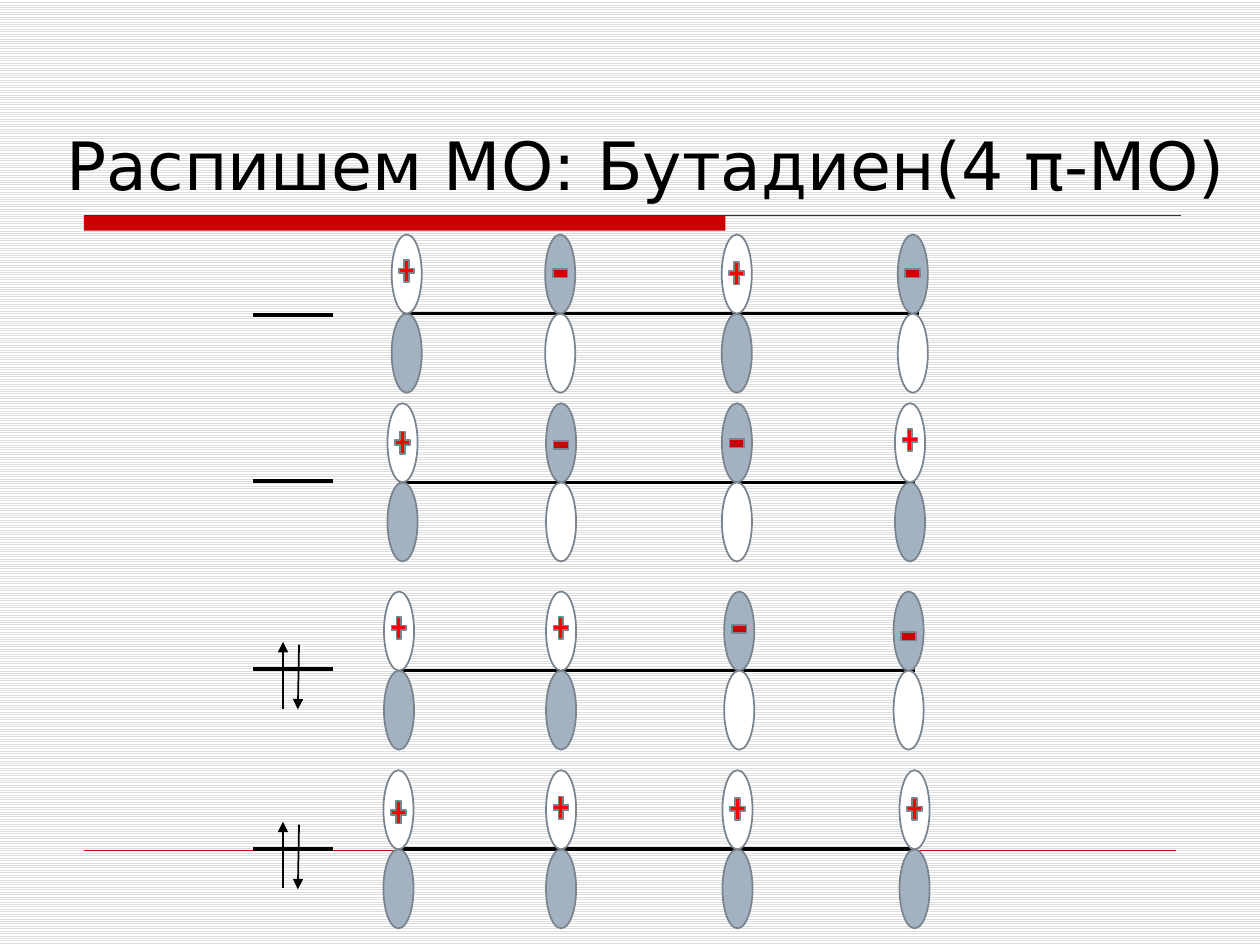
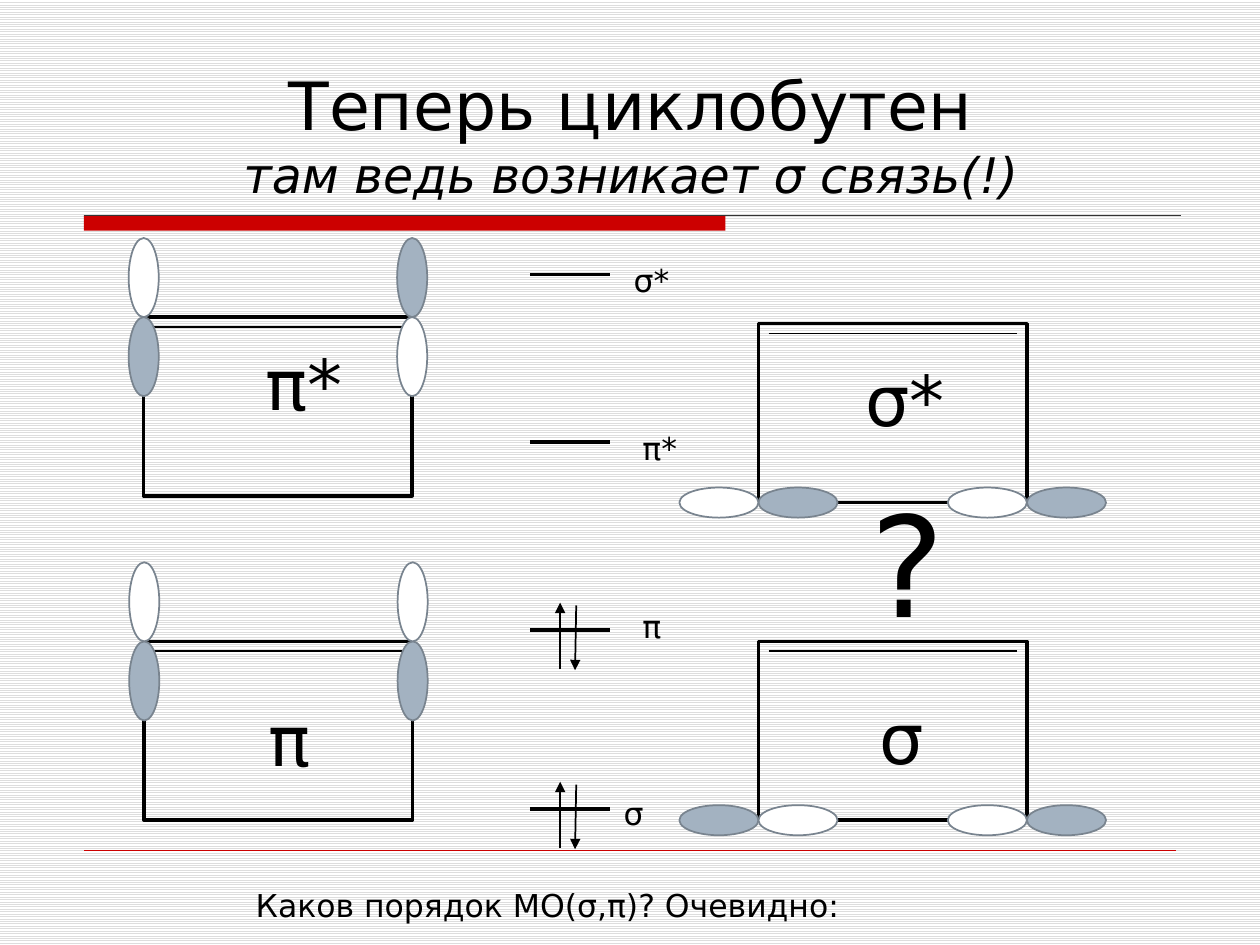
"""Build two slides on the molecular orbitals of butadiene and cyclobutene."""
from dataclasses import dataclass
from typing import NamedTuple

from lxml import etree
from pptx import Presentation
from pptx.dml.color import RGBColor
from pptx.enum.dml import MSO_PATTERN
from pptx.enum.shapes import MSO_CONNECTOR, MSO_SHAPE as SHAPE
from pptx.enum.text import MSO_ANCHOR, MSO_AUTO_SIZE, PP_ALIGN as ALIGN
from pptx.oxml.ns import qn
from pptx.util import Pt

FONT = "DejaVu Sans"
BLACK, WHITE, RULE = "000000", "FFFFFF", "333333"
RED, BRIGHT_RED = "CC0000", "FF0000"
GREY, OUTLINE, STRIPE = "A3B2C1", "79848F", "DDDDDD"
LOBE_W, LOBE_L = 17.2, 45.2
LEVEL_W = 45.4
RING_W, RING_H = 153.4, 102.2
UP, DOWN, LEFT, RIGHT = (0, -1), (0, 1), (-1, 0), (1, 0)


class Box(NamedTuple):
    left: float
    top: float
    width: float
    height: float


class Atom(NamedTuple):
    x: float
    sign: str
    rise: float


@dataclass
class Orbital:
    y: float
    level_y: float
    chain_x: float
    atoms: list[Atom]
    filled: bool = False


@dataclass
class Ring:
    x: float
    y: float
    node_dy: float
    white_left: tuple[int, int]
    white_right: tuple[int, int]


@dataclass
class Label:
    text: str
    box: Box
    size: float


@dataclass
class Level:
    y: float
    filled: bool


ORBITALS = [
    Orbital(179.2, 180, 230.4, [Atom(232.4, "+", 24.4), Atom(320.1, "-", 23),
                                Atom(421, "+", 23), Atom(521.6, "-", 23)]),
    Orbital(275.6, 275, 228.2, [Atom(230, "+", 22.7), Atom(320.6, "-", 21.4),
                                Atom(421.1, "-", 22.2), Atom(520, "+", 24.2)]),
    Orbital(383.2, 382.4, 228.2, [Atom(228, "+", 24.4), Atom(320.6, "+", 24.4),
                                  Atom(422.4, "-", 23.8), Atom(519.2, "-", 19.6)], True),
    Orbital(485.3, 485.2, 228.2, [Atom(227.7, "+", 21), Atom(320.6, "+", 23.8),
                                  Atom(421.4, "+", 23), Atom(522.6, "+", 23)], True),
]

RINGS = [
    Ring(82.4, 366.5, 0, UP, UP),
    Ring(82.1, 181.2, 0, UP, DOWN),
    Ring(433.4, 185, RING_H, LEFT, LEFT),
    Ring(433.4, 366.5, RING_H, RIGHT, LEFT),
]

LEVELS = [Level(157, False), Level(252.7, False), Level(360, True), Level(462.3, True)]

LABELS = [
    Label("π", Box(146.2, 394.6, 54.7, 55.4), 40),
    Label("π*", Box(144.7, 190.8, 73.4, 55.4), 40),
    Label("?", Box(490.3, 269.3, 56.9, 104.4), 80),
    Label("σ", Box(495.4, 393.1, 54.7, 55.4), 40),
    Label("σ*", Box(487.4, 200.2, 82.8, 55.4), 40),
    Label("Каков порядок МО(σ,π)? Очевидно:", Box(139, 502.6, 380.2, 28.8), 18),
    Label("σ", Box(349.2, 450, 28.1, 28.8), 18),
    Label("σ*", Box(355, 145.4, 44.6, 28.8), 18),
    Label("π", Box(360, 343.4, 28.1, 28.8), 18),
    Label("π*", Box(360, 241.9, 38.9, 28.8), 18),
]


def color(value: str) -> RGBColor:
    """Turn a hex string into a colour."""
    return RGBColor.from_string(value)


def pts(box: Box) -> list[Pt]:
    """Turn a box into lengths in points."""
    return [Pt(v) for v in box]


def add_shape(slide, kind: SHAPE, box: Box, fill: str | None,
              line: str | None = None, width: float = 1) -> None:
    """Draw a preset shape, without fill or line where none is given."""
    sp = slide.shapes.add_shape(kind, *pts(box))
    sp.shadow.inherit = False
    if fill:
        sp.fill.solid()
        sp.fill.fore_color.rgb = color(fill)
    else:
        sp.fill.background()
    if line:
        sp.line.color.rgb = color(line)
        sp.line.width = Pt(width)
    else:
        sp.line.fill.background()


def add_line(slide, x1: float, y1: float, x2: float, y2: float,
             width: float = 2, line: str = BLACK, arrow: bool = False) -> None:
    """Draw a straight line, with an arrowhead at its end on request."""
    cx = slide.shapes.add_connector(MSO_CONNECTOR.STRAIGHT, Pt(x1), Pt(y1), Pt(x2), Pt(y2))
    cx.line.color.rgb = color(line)
    cx.line.width = Pt(width)
    if arrow:
        etree.SubElement(cx.line._get_or_add_ln(), qn("a:tailEnd"), type="triangle")
    etree.SubElement(cx._element.spPr, qn("a:effectLst"))


def format_run(r, size: float, italic: bool = False) -> None:
    """Give a run the common font and colour."""
    r.font.name = FONT
    r.font.size = Pt(size)
    r.font.italic = italic
    r.font.color.rgb = color(BLACK)


def add_label(slide, label: Label) -> None:
    """Write a label in a text box."""
    tf = slide.shapes.add_textbox(*pts(label.box)).text_frame
    tf.word_wrap = True
    tf.auto_size = MSO_AUTO_SIZE.SHAPE_TO_FIT_TEXT
    tf.text = label.text
    format_run(tf.paragraphs[0].runs[0], label.size)


def add_slide(prs, title: str, box: Box, align: ALIGN):
    """Add a slide with its title, red band and footer line."""
    slide = prs.slides.add_slide(prs.slide_layouts[5])
    add_shape(slide, SHAPE.RECTANGLE, Box(48, 123.1, 366.5, 8.8), RED)
    add_line(slide, 48, 123.1, 674.7, 123.1, 0.75, RULE)
    add_line(slide, 48, 486, 672, 486, 0.25, RED)
    sp = slide.shapes.title
    sp.left, sp.top, sp.width, sp.height = pts(box)
    tf = sp.text_frame
    tf.auto_size = MSO_AUTO_SIZE.NONE
    tf.vertical_anchor = MSO_ANCHOR.BOTTOM
    p = tf.paragraphs[0]
    p.text = title
    p.alignment = align
    format_run(p.runs[0], 38)
    for r in p.runs[1:]:
        format_run(r, 28, True)
    return slide


def add_lobes(slide, x: float, y: float, white: tuple[int, int]) -> None:
    """Draw a p orbital at a node, its white lobe in the given direction."""
    dx, dy = white
    w, h = (LOBE_L, LOBE_W) if dx else (LOBE_W, LOBE_L)
    for way, fill in ((-1, GREY), (1, WHITE)):
        cx, cy = x + way * dx * LOBE_L / 2, y + way * dy * LOBE_L / 2
        add_shape(slide, SHAPE.OVAL, Box(cx - w / 2, cy - h / 2, w, h), fill, OUTLINE)


def add_sign(slide, sign: str, x: float, y: float) -> None:
    """Draw a plus or minus sign centred on a point."""
    kind, h, fill = {"+": (SHAPE.MATH_PLUS, 17.3, BRIGHT_RED),
                     "-": (SHAPE.MATH_MINUS, 20.2, RED)}[sign]
    add_shape(slide, kind, Box(x - 5.75, y - h / 2, 11.5, h), fill, OUTLINE)


def add_level(slide, x: float, y: float, filled: bool) -> None:
    """Draw an energy level, with an electron pair if it is filled."""
    add_line(slide, x, y, x + LEVEL_W, y)
    if filled:
        add_line(slide, x + 17, y + 22.5, x + 17, y - 15.6, 1, arrow=True)
        add_line(slide, x + 26.2, y - 14, x + 25.5, y + 23, 1, arrow=True)


def add_orbital(slide, orbital: Orbital) -> None:
    """Draw one molecular orbital of the chain with its energy level."""
    start, y = orbital.chain_x, orbital.y
    add_line(slide, start, y, start + 294.5, y)
    for atom in orbital.atoms:
        add_lobes(slide, atom.x, y, UP if atom.sign == "+" else DOWN)
        add_sign(slide, atom.sign, atom.x, y - atom.rise)
    add_level(slide, 144.7, orbital.level_y, orbital.filled)


def add_ring(slide, ring: Ring) -> None:
    """Draw a four-membered ring with a double bond and two p orbitals."""
    x, y = ring.x, ring.y
    add_shape(slide, SHAPE.RECTANGLE, Box(x, y, RING_W, RING_H), None, BLACK, 2)
    add_line(slide, x + 5.8, y + 5.6, x + RING_W - 5.8, y + 5.6, 1)
    add_lobes(slide, x, y + ring.node_dy, ring.white_left)
    add_lobes(slide, x + RING_W, y + ring.node_dy, ring.white_right)


def main() -> None:
    """Build and save the presentation."""
    prs = Presentation()
    prs.slide_width, prs.slide_height = Pt(720), Pt(540)
    fill = prs.slide_master.background.fill
    fill.patterned()
    fill.pattern = MSO_PATTERN.LIGHT_HORIZONTAL
    fill.fore_color.rgb = color(STRIPE)
    fill.back_color.rgb = color(WHITE)

    slide = add_slide(prs, "Распишем МО: Бутадиен(4 π-МО)",
                      Box(31, 54.7, 680.4, 65.5), ALIGN.LEFT)
    for orbital in ORBITALS:
        add_orbital(slide, orbital)

    slide = add_slide(prs, "Теперь циклобутен\vтам ведь возникает σ связь(!)",
                      Box(45.4, 23.8, 630, 95.8), ALIGN.CENTER)
    for ring in RINGS:
        add_ring(slide, ring)
    for level in LEVELS:
        add_level(slide, 303.1, level.y, level.filled)
    for label in LABELS:
        add_label(slide, label)

    prs.save("out.pptx")


if __name__ == "__main__":
    main()
